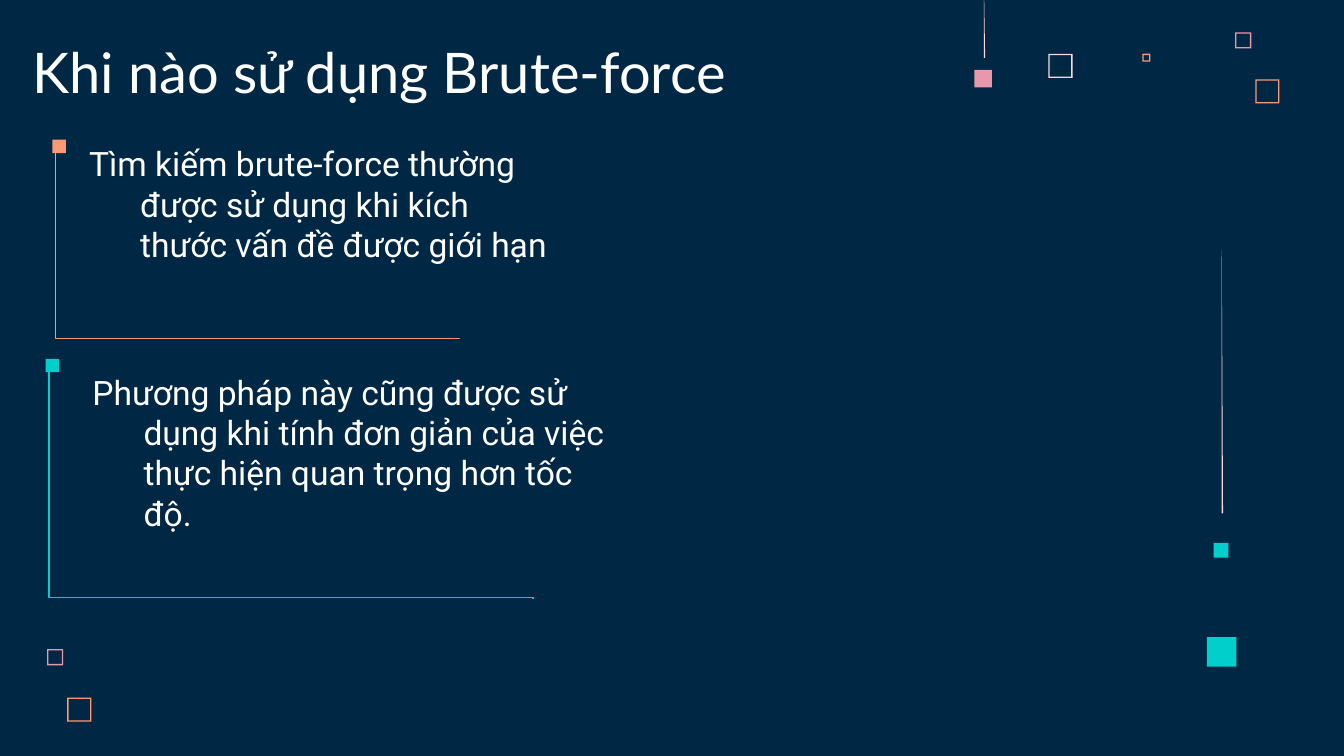
from pptx import Presentation
from pptx import util as u
from pptx.dml.color import RGBColor
from pptx.enum import shapes, text
from pptx.oxml import ns
from lxml import etree

THEME = {
    "navy": RGBColor.from_string("002845"),
    "white": RGBColor.from_string("FFFFFF"),
    "blush": RGBColor.from_string("FFD6E1"),
    "pink": RGBColor.from_string("E898AC"),
    "orange": RGBColor.from_string("FF9973"),
    "teal": RGBColor.from_string("00CFCC"),
    "title": ("Lato", u.Pt(30)),
    "body": ("Roboto", u.Pt(18)),
}

presentation = Presentation()
presentation.slide_width = u.Inches(10)
presentation.slide_height = presentation.slide_width * 9 // 16
slide = presentation.slides.add_slide(presentation.slide_layouts[5])
slide.background.fill.solid()
slide.background.fill.fore_color.rgb = THEME["navy"]

COLUMN = presentation.slide_width / 100
SQUARE = shapes.MSO_SHAPE.RECTANGLE
FRAME = shapes.MSO_SHAPE.FRAME
SPIKE = shapes.MSO_SHAPE.RIGHT_TRIANGLE


def add_mark(kind, left, top, width, height, color):
    box = [round(cells * COLUMN) for cells in (left, top, width, height)]
    mark = slide.shapes.add_shape(kind, *box)
    mark.shadow.inherit = False
    mark.fill.solid()
    mark.fill.fore_color.rgb = THEME[color]
    mark.line.fill.background()
    if kind == FRAME:
        mark.adjustments[0] = 0.1 / width


def write(shape, wording, style):
    frame = shape.text_frame
    frame.word_wrap = True
    frame.auto_size = text.MSO_AUTO_SIZE.NONE
    frame.margin_left = frame.margin_right = round(COLUMN)
    frame.margin_top = frame.margin_bottom = round(COLUMN)
    paragraph = frame.paragraphs[0]
    paragraph.text = wording
    paragraph.alignment = text.PP_ALIGN.LEFT
    paragraph.font.name, paragraph.font.size = THEME[style]
    paragraph.font.color.rgb = THEME["white"]
    return paragraph


for left, top, size, color in [
    (78, 4, 1.8, "blush"),
    (91.9, 2.4, 1.2, "pink"),
    (85, 4, 0.6, "orange"),
    (93.4, 5.9, 1.8, "orange"),
    (3.5, 48.3, 1.2, "pink"),
    (5, 51.9, 1.8, "orange"),
]:
    add_mark(FRAME, left, top, size, size, color)

title = slide.shapes.title
title.left, title.top = round(1.4 * COLUMN), round(2.5 * COLUMN)
title.width, title.height = round(67.3 * COLUMN), round(6.3 * COLUMN)
title.text_frame.vertical_anchor = text.MSO_ANCHOR.BOTTOM
write(title, "Khi nào sử dụng Brute-force", "title")

for wording, box, corner, span, color in [
    ("Tìm kiếm brute-force thường được sử dụng khi kích thước vấn đề được giới hạn",
     (4.45, 9.65, 38, 14.1), (4.15, 11.2), (30, 14), "orange"),
    ("Phương pháp này cũng được sử dụng khi tính đơn giản của việc thực hiện quan trọng hơn tốc độ.",
     (4.7, 26.65, 42, 16.3), (3.65, 27.5), (36, 17), "teal"),
]:
    textbox = slide.shapes.add_textbox(*[round(cells * COLUMN) for cells in box])
    properties = write(textbox, wording, "body")._p.get_or_add_pPr()
    properties.set("marL", str(u.Inches(0.5)))
    properties.set("indent", str(u.Inches(-0.38)))

    width, height = span
    center_x, center_y = corner[0] + width / 2, corner[1] + height / 2
    ends = (center_x + height / 2, center_y - width / 2,
            center_x - height / 2, center_y + width / 2)
    bracket = slide.shapes.add_connector(
        shapes.MSO_CONNECTOR.ELBOW, *[round(cells * COLUMN) for cells in ends])
    bracket.line.color.rgb = THEME[color]
    bracket.line.width = u.Pt(0.75)
    shape_properties = bracket._element.spPr
    shape_properties.find(ns.qn("a:xfrm")).set("rot", str(270 * 60000))
    guides = shape_properties.find(ns.qn("a:prstGeom")).find(ns.qn("a:avLst"))
    etree.SubElement(guides, ns.qn("a:gd"), name="adj1", fmla="val 99900")
    etree.SubElement(shape_properties, ns.qn("a:effectLst"))

    add_mark(SQUARE, corner[0] - 0.25, corner[1] - 0.8, 1, 1, color)

for kind, left, top, width, height, color in [
    (SQUARE, 72.5, 5.2, 1.3, 1.3, "pink"),
    (SPIKE, 73.2, -1.8, 0.1, 6.1, "blush"),
    (SQUARE, 89.8, 47.4, 2.2, 2.2, "teal"),
    (SQUARE, 90.3, 40.4, 1.1, 1.1, "teal"),
    (SPIKE, 90.9, 18.6, 0.1, 19.6, "blush"),
]:
    add_mark(kind, left, top, width, height, color)

presentation.save("out.pptx")
